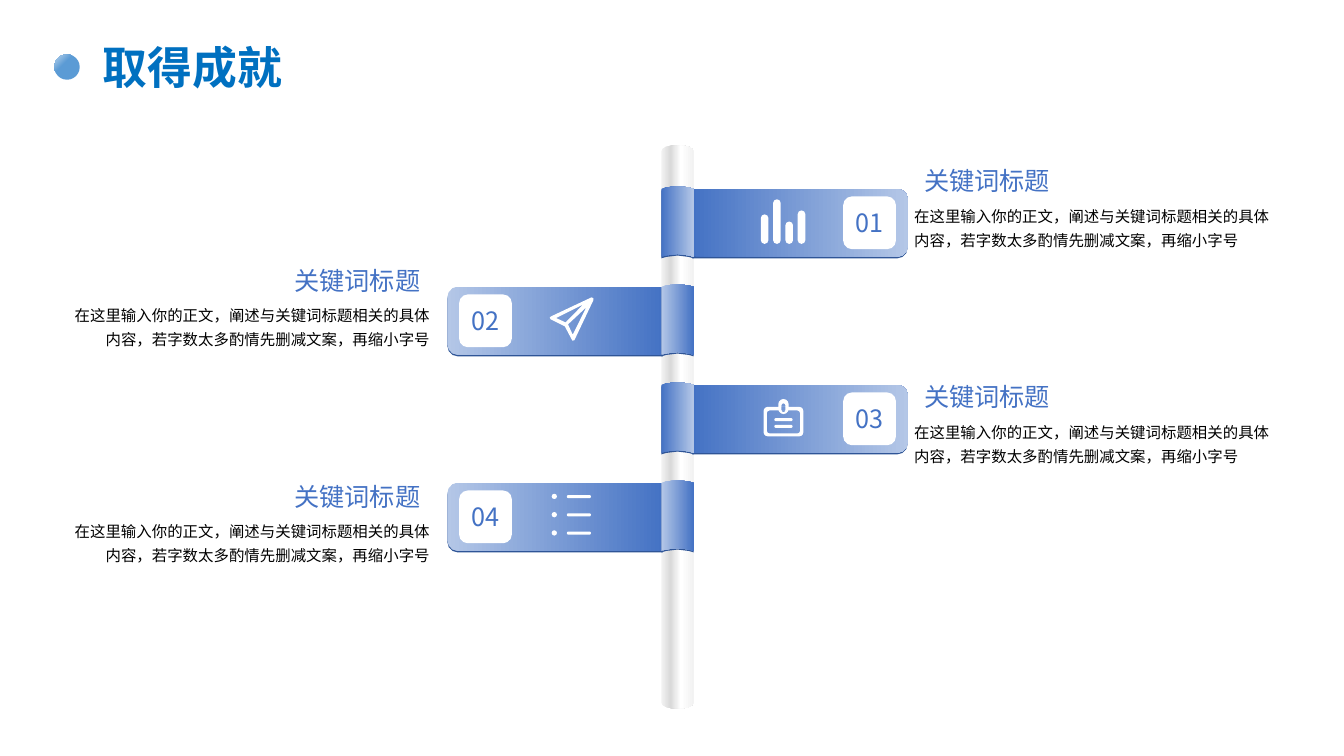
from copy import deepcopy
from math import cos, pi, sin
from lxml.etree import SubElement
from pptx import Presentation
from pptx.dml.color import RGBColor
from pptx.enum.shapes import MSO_SHAPE
from pptx.enum.text import MSO_ANCHOR, MSO_AUTO_SIZE, PP_ALIGN
from pptx.oxml.ns import qn
from pptx.util import Cm, Pt

WHITE = RGBColor(0xFF, 0xFF, 0xFF)
BLACK = RGBColor(0, 0, 0)
BLUE = RGBColor(0x44, 0x72, 0xC4)
PALE = RGBColor(0xB4, 0xC7, 0xE7)
NAVY = RGBColor(0x2F, 0x55, 0x97)
AZURE = RGBColor(0x00, 0x70, 0xC0)
SKY = RGBColor(0x5B, 0x9B, 0xD5)
ICE = RGBColor(0xBD, 0xD7, 0xEE)
MIST = RGBColor(0xF2, 0xF2, 0xF2)
GREY = RGBColor(0xD9, 0xD9, 0xD9)
FONT = "Noto Sans CJK SC"
HEAD = "关键词标题"
BODY = "在这里输入你的正文，阐述与关键词标题相关的具体内容，若字数太多酌情先删减文案，再缩小字号"


def paint(shape, *stops):
    shape.shadow.inherit = False
    shape.line.fill.background()
    if len(stops) == 1:
        shape.fill.solid()
        shape.fill.fore_color.rgb = stops[0]
        return
    shape.fill.gradient()
    shape.fill.gradient_angle = 0
    inner = shape._element.spPr.find(qn("a:gradFill")).find(qn("a:gsLst"))
    for _ in stops[2:]:
        inner.append(deepcopy(inner[0]))
    for stop, (spot, color) in zip(shape.fill.gradient_stops, stops):
        stop.position = spot
        stop.color.rgb = color


def write(shape, text, size=18, color=BLUE, bold=False, align=PP_ALIGN.LEFT,
          anchor=MSO_ANCHOR.TOP, inset=None, grow=True, line=None, after=None):
    frame = shape.text_frame
    frame.word_wrap = True
    frame.vertical_anchor = anchor
    frame.auto_size = MSO_AUTO_SIZE.SHAPE_TO_FIT_TEXT if grow else MSO_AUTO_SIZE.NONE
    if inset is not None:
        frame.margin_left = frame.margin_right = Cm(inset)
        frame.margin_top = frame.margin_bottom = Cm(inset)
    para = frame.paragraphs[0]
    para.alignment = align
    if line:
        para.line_spacing = line
    if after:
        para.space_after = Pt(after)
    run = para.add_run()
    run.text = text
    font = run.font
    font.size, font.bold, font.name = Pt(size), bold, FONT
    font.color.rgb = color
    SubElement(run._r.get_or_add_rPr(), qn("a:ea"), typeface=FONT)


def ring(x, y, w, h, *radii):
    radii = radii if len(radii) == 4 else radii * 4
    signs = ((1, 1), (0, 1), (0, 0), (1, 0))
    points = []
    for turn, (r, (right, low)) in enumerate(zip(radii, signs)):
        cx = x + w - r if right else x + r
        cy = y + h - r if low else y + r
        steps = 0 if r == 0 else 2 if r < 0.1 else 3
        for step in range(steps + 1):
            angle = (turn + step / max(steps, 1)) * pi / 2
            points.append((cx + r * cos(angle), cy + r * sin(angle)))
    return points


def arch(x, y, w, rise, power, steps):
    angles = [pi * step / steps for step in range(steps + 1)]
    return [(x + w / 2 - w / 2 * cos(a), y - rise * sin(a) ** power) for a in angles]


def trace(shapes, loops, *stops, x=0, y=0):
    loops = [[(Cm(x + px), Cm(y + py)) for px, py in loop] for loop in loops]
    pen = shapes.build_freeform(*loops[0][0])
    for loop in loops:
        if loop is not loops[0]:
            pen.move_to(*loop[0])
        pen.add_line_segments(loop[1:], close=True)
    paint(pen.convert_to_shape(), *stops)


def chart_icon():
    return [ring(-0.57 + 0.31 * i, 0.53 - tall, 0.19, tall, 0.09)
            for i, tall in enumerate((0.74, 1.12, 0.56, 0.84))]


def plane_icon():
    return [
        [(0.5, -0.59), (0.55, -0.57), (0.55, -0.52), (0.07, 0.49), (0.02, 0.5),
         (-0.17, 0.14), (-0.53, -0.04), (-0.55, -0.08), (-0.52, -0.11)],
        [(-0.39, -0.07), (0.29, -0.41), (-0.15, 0.04)],
        [(0.37, -0.34), (0.03, 0.35), (-0.09, 0.09)],
    ]


def card_icon():
    return [
        ring(-0.5, -0.3, 1, 0.74, 0.1),
        ring(-0.42, -0.21, 0.84, 0.58, 0.07),
        ring(-0.13, -0.3, 0.26, 0.09, 0),
        ring(-0.13, -0.5, 0.26, 0.38, 0.13),
        ring(-0.05, -0.39, 0.1, 0.22, 0.05),
    ] + [ring(-0.23, y, 0.46, 0.08, 0.04) for y in (-0.02, 0.15)]


def list_icon():
    loops = []
    for y in (-0.58, -0.12, 0.34):
        loops.append(ring(-0.5, y, 0.13, 0.13, 0.06))
        loops.append(ring(-0.12, y + 0.03, 0.61, 0.08, 0.04))
    return loops


def title(slide, x, y, w, h):
    dot = slide.shapes.add_shape(MSO_SHAPE.OVAL, Cm(x), Cm(y + 0.36), Cm(0.64), Cm(0.64))
    paint(dot, (0, ICE), (0.38, SKY), (0.85, SKY))
    grad = dot._element.spPr.find(qn("a:gradFill"))
    grad.remove(grad.find(qn("a:lin")))
    glow = SubElement(grad, qn("a:path"), {"path": "circle"})
    SubElement(glow, qn("a:fillToRect"), r="100000", b="100000")
    head = slide.shapes.title
    head.left, head.top, head.width, head.height = Cm(x + 0.97), Cm(y), Cm(w), Cm(h)
    write(head, "取得成就", size=32, color=AZURE, bold=True,
          anchor=MSO_ANCHOR.MIDDLE, line=0.9)


def pole(shapes, x, y, w, h):
    top = arch(x, y + 0.15, w, 0.15, 1, 8)
    base = arch(x, y + h - 0.15, w, -0.15, 1, 8)[::-1]
    trace(shapes, [top + base], (0, MIST), (0.29, GREY), (0.6, WHITE), (1, MIST))


def flag(shapes, x, y, w, h, right, label, icon):
    mid = x + w / 2
    side = 1 if right else -1
    span = 5.43
    left = mid + 0.37 if right else mid - 0.37 - span
    radii = (0.26, 0, 0, 0.26) if right else (0, 0.26, 0.26, 0)
    blend = tuple(enumerate((BLUE, PALE) if right else (PALE, BLUE)))
    bar = [ring(left, y, span, h, *radii)]
    band = [arch(x, y, w, 0.07, 2, 4) + arch(x, y + h, w, 0.07, 2, 4)[::-1]]
    for part in (bar, band):
        trace(shapes, part, NAVY, y=0.04)
        trace(shapes, part, *blend)
    size = 1.33
    spot = mid + side * 4.84 - size / 2
    tag = shapes.add_shape(MSO_SHAPE.ROUNDED_RECTANGLE, Cm(spot), Cm(y + 0.19), Cm(size), Cm(size))
    paint(tag, WHITE)
    write(tag, label, align=PP_ALIGN.CENTER, anchor=MSO_ANCHOR.MIDDLE, inset=0, grow=False)
    trace(shapes, icon, WHITE, x=mid + side * 2.67, y=y + h / 2)


def note(shapes, x, y, w, right):
    align = PP_ALIGN.LEFT if right else PP_ALIGN.RIGHT
    wide = 3.81 if right else 4.04
    left = x if right else x + w - wide
    body = shapes.add_textbox(Cm(x), Cm(y + 1.03), Cm(w), Cm(1.2))
    write(body, BODY, size=11, color=BLACK, align=align,
          anchor=MSO_ANCHOR.MIDDLE, inset=0, line=1.3, after=12)
    head = shapes.add_textbox(Cm(left), Cm(y), Cm(wide), Cm(1.03))
    write(head, HEAD, align=align)


def main():
    deck = Presentation()
    deck.slide_width, deck.slide_height = Cm(33.87), Cm(19.05)
    slide = deck.slides.add_slide(deck.slide_layouts[5])
    shapes = slide.shapes
    title(slide, 1.37, 1.01, 5.56, 1.5)
    x, w = 16.67, 0.81
    pole(shapes, x, 3.66, w, 14.2)
    icons = (chart_icon, plane_icon, card_icon, list_icon)
    tops = (4.05, 6.56, 9.49, 12)
    for i, (icon, top) in enumerate(zip(icons, tops)):
        right = i % 2 == 0
        flag(shapes, x, 4.76 + 2.47 * i, w, 1.71, right, f"{i + 1:02}", icon())
        note(shapes, 23.04 if right else 1.57, top, 9.27, right)
    deck.save("out.pptx")


if __name__ == "__main__":
    main()
